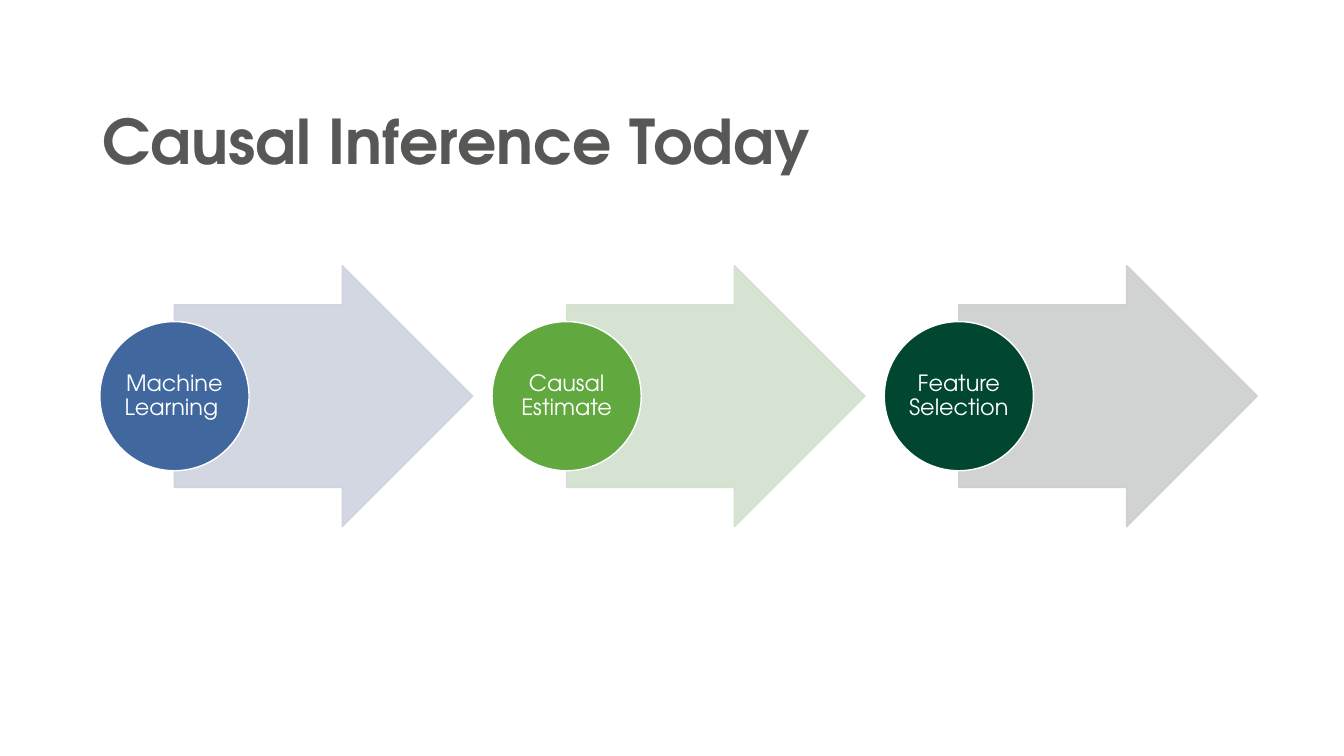
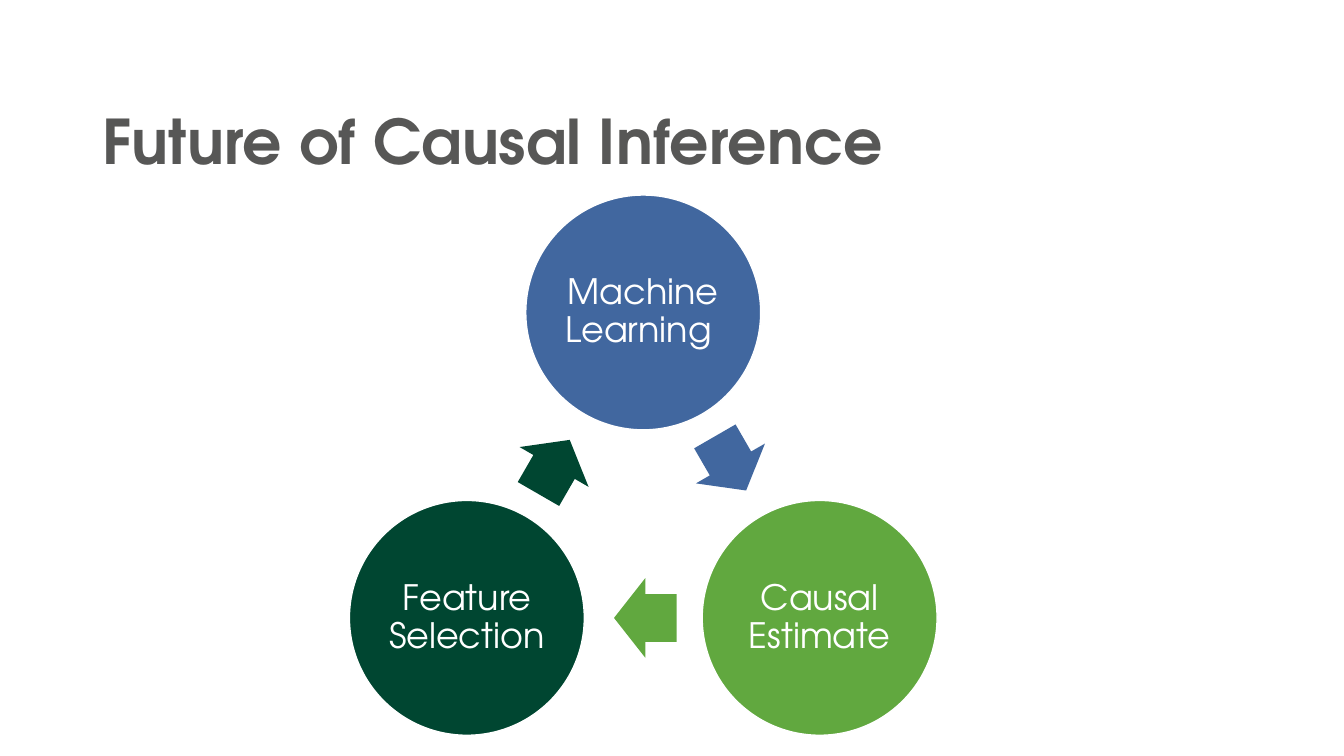
import math

import lxml.etree
import pptx
import pptx.dml.color
import pptx.enum.shapes
import pptx.enum.text
import pptx.oxml.ns
import pptx.util

PX = 9144
FONT = "TeX Gyre Adventor"
WHITE = "FFFFFF"
TITLE_COLOR = "575756"
STEPS = [
    ("Machine Learning ", "41679F", "CFD3DF"),
    ("Causal Estimate", "61A83F", "D2E1CF"),
    ("Feature Selection", "004631", "CCCFCE"),
]
SHAPE = pptx.enum.shapes.MSO_SHAPE
ALIGN = pptx.enum.text.PP_ALIGN
MIDDLE = pptx.enum.text.MSO_ANCHOR.MIDDLE


def px(n):
    return pptx.util.Emu(round(n * PX))


def color(value):
    return pptx.dml.color.RGBColor.from_string(value)


def add_run(p, text, size, rgb, bold=False):
    r = p.add_run()
    r.text = text
    r.font.name = FONT
    r.font.size = pptx.util.Pt(size)
    r.font.bold = bold
    r.font.color.rgb = color(rgb)


def add_slide(prs, title):
    s = prs.slides.add_slide(prs.slide_layouts[5])
    sp = s.shapes.title
    sp.left, sp.top, sp.width, sp.height = px(92), px(66), px(1150), px(145)
    tf = sp.text_frame
    tf.word_wrap = True
    tf.auto_size = pptx.enum.text.MSO_AUTO_SIZE.NONE
    tf.vertical_anchor = MIDDLE
    p = tf.paragraphs[0]
    p.alignment = ALIGN.LEFT
    add_run(p, title, 44, TITLE_COLOR, bold=True)
    return s


def add_centered(s, kind, cx, cy, width, height, fill, line=None):
    sp = s.shapes.add_shape(
        kind, px(cx - width / 2), px(cy - height / 2), px(width), px(height))
    sp.shadow.inherit = False
    sp.fill.solid()
    sp.fill.fore_color.rgb = color(fill)
    if line:
        sp.line.color.rgb = color(line)
        sp.line.width = pptx.util.Pt(1)
    else:
        sp.line.fill.background()
    return sp


def add_circle(s, cx, cy, size, fill, text, font_size, inset):
    sp = add_centered(s, SHAPE.OVAL, cx, cy, size, size, fill, WHITE)
    tf = sp.text_frame
    tf.word_wrap = True
    tf.vertical_anchor = MIDDLE
    tf.margin_left = tf.margin_right = px(inset)
    tf.margin_top = tf.margin_bottom = px(inset)
    p = tf.paragraphs[0]
    p.alignment = ALIGN.CENTER
    p.line_spacing = 0.9
    add_run(p, text, font_size, WHITE)


def add_arrow(s, cx, cy, width, height, shaft, fill, line=None, rotation=0):
    sp = add_centered(s, SHAPE.RIGHT_ARROW, cx, cy, width, height, fill, line)
    sp.adjustments[0] = shaft
    sp.adjustments[1] = 0.5
    sp.rotation = rotation
    return sp


def set_opacity(sp, percent):
    qn = pptx.oxml.ns.qn
    for clr in sp.element.spPr.iter(qn("a:srgbClr")):
        lxml.etree.SubElement(clr, qn("a:alpha"), val=str(percent * 1000))


def build_process(prs):
    s = add_slide(prs, "Causal Inference Today")
    first_x, pitch, cy = 173, 389, 393
    arrow_width, arrow_height = 296, 259
    for i, (text, dark, light) in enumerate(STEPS):
        cx = first_x + i * pitch
        arrow = add_arrow(s, cx + arrow_width / 2, cy, arrow_width,
                          arrow_height, 0.7, light, line=light)
        set_opacity(arrow, 90)
        add_circle(s, cx, cy, 148, dark, text, 16, 1)


def build_cycle(prs):
    s = add_slide(prs, "Future of Causal Inference")
    center_x, center_y, radius, lag = 638, 512, 202, 2
    turn = 360 / len(STEPS)
    for i, (text, dark, _) in enumerate(STEPS):
        angle = math.radians(i * turn)
        add_circle(s, center_x + radius * math.sin(angle),
                   center_y - radius * math.cos(angle),
                   233, dark, text, 25, 3)
        heading = (i + 0.5) * turn
        a = math.radians(heading)
        mid = radius * math.cos(math.radians(turn / 2))
        add_arrow(s, center_x + mid * math.sin(a) - lag * math.cos(a),
                  center_y - mid * math.cos(a) - lag * math.sin(a),
                  62, 79, 0.6, dark, rotation=heading)


def main():
    prs = pptx.Presentation()
    prs.slide_width, prs.slide_height = px(1333), px(750)
    build_process(prs)
    build_cycle(prs)
    prs.save("out.pptx")


if __name__ == "__main__":
    main()
